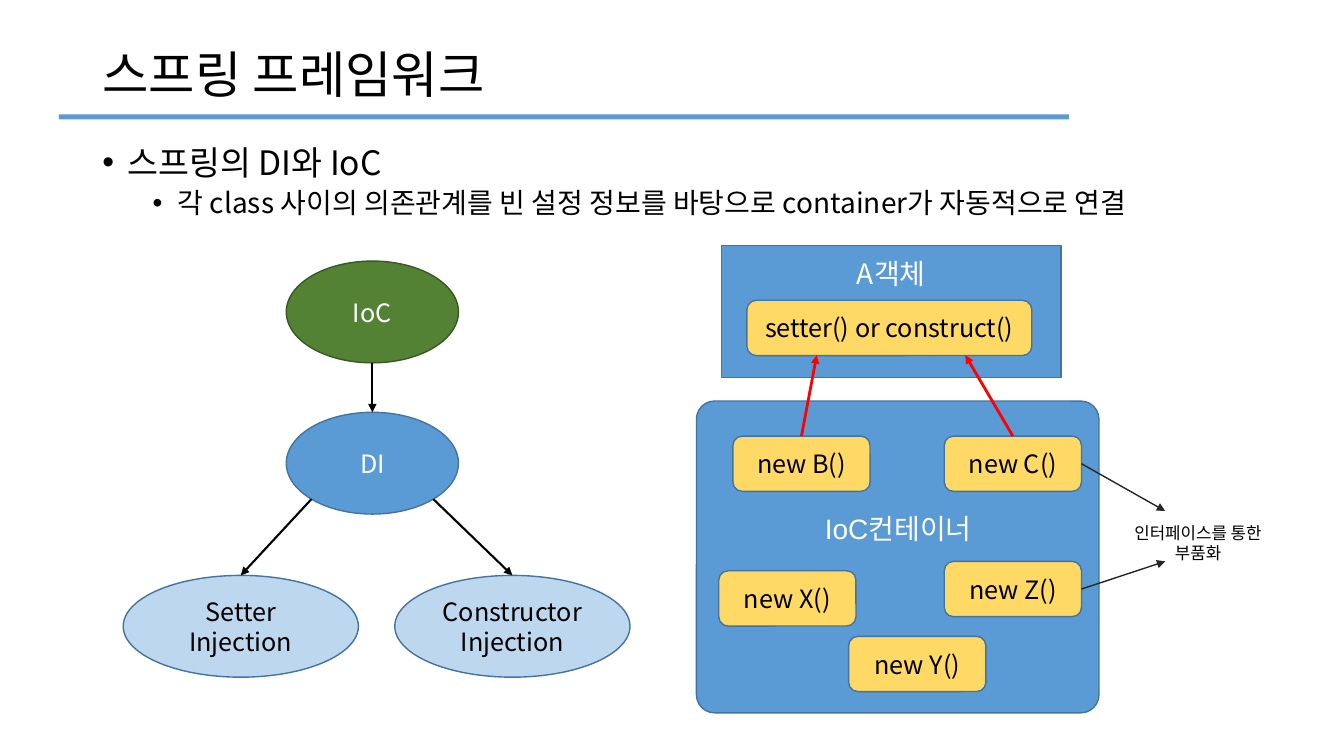
from lxml import etree
from pptx import Presentation
from pptx.dml.color import RGBColor
from pptx.enum.shapes import MSO_CONNECTOR, MSO_SHAPE
from pptx.enum.text import MSO_ANCHOR, MSO_AUTO_SIZE, PP_ALIGN
from pptx.oxml.ns import qn
from pptx.util import Pt

RECT, ROUND, OVAL = MSO_SHAPE.RECTANGLE, MSO_SHAPE.ROUNDED_RECTANGLE, MSO_SHAPE.OVAL
STRAIGHT = MSO_CONNECTOR.STRAIGHT
LEFT, CENTER = PP_ALIGN.LEFT, PP_ALIGN.CENTER
TOP, MIDDLE = MSO_ANCHOR.TOP, MSO_ANCHOR.MIDDLE
NO_FIT = MSO_AUTO_SIZE.NONE
SITE_TOP, SITE_RIGHT = 0, 3
FONT = "Noto Sans CJK KR"
COLORS = {
    "black": "000000", "white": "FFFFFF", "blue": "5B9BD5", "edge": "43739E",
    "green": "548235", "green edge": "385723", "pale": "BDD7EE",
    "yellow": "FFD966", "red": "FF0000", "gray": "262626",
}


class SlideBuilder:
    """Draws styled elements on one slide, with lengths in points."""

    def __init__(self, s):
        self.s = s

    def color(self, name):
        return RGBColor.from_string(COLORS[name])

    def format(self, p, size, color, align, font=FONT):
        p.alignment = align
        for r in p.runs:
            r.font.size = Pt(size)
            r.font.name = font
            r.font.color.rgb = self.color(color)
            ea = etree.SubElement(r.font._element, qn("a:ea"))
            ea.set("typeface", FONT)

    def title(self, text, x, y, w, h):
        sp = self.s.shapes.title
        sp.left, sp.top, sp.width, sp.height = Pt(x), Pt(y), Pt(w), Pt(h)
        tf = sp.text_frame
        tf.text = text
        tf.auto_size = NO_FIT
        tf.vertical_anchor = MIDDLE
        tf.paragraphs[0].line_spacing = 0.9
        self.format(tf.paragraphs[0], 36, "black", LEFT)

    def text(self, text, x, y, w, h, size, color="black", align=CENTER, font="Arial"):
        sp = self.s.shapes.add_textbox(Pt(x), Pt(y), Pt(w), Pt(h))
        tf = sp.text_frame
        tf.word_wrap = True
        tf.text = text
        for p in tf.paragraphs:
            self.format(p, size, color, align, font)
        return tf

    def bullets(self, items, x, y, w, h):
        tf = self.text("\n".join(items), x, y, w, h, 24, align=LEFT, font=FONT)
        for level, p in enumerate(tf.paragraphs):
            p.level = level
            p.line_spacing = 0.9
            p.space_before = Pt(5 if level else 10)
            p.runs[0].font.size = Pt(20 if level else 24)
            pPr = p._p.get_or_add_pPr()
            pPr.set("marL", str(Pt(18 + 36 * level)))
            pPr.set("indent", str(Pt(-18)))
            etree.SubElement(pPr, qn("a:buFont")).set("typeface", "Arial")
            etree.SubElement(pPr, qn("a:buChar")).set("char", "•")

    def shape(self, kind, x, y, w, h, fill, edge="edge", text="", color="black", size=18):
        sp = self.s.shapes.add_shape(kind, Pt(x), Pt(y), Pt(w), Pt(h))
        sp.shadow.inherit = False
        sp.fill.solid()
        sp.fill.fore_color.rgb = self.color(fill)
        if edge:
            sp.line.color.rgb = self.color(edge)
            sp.line.width = Pt(1)
        else:
            sp.line.fill.background()
        if text:
            tf = sp.text_frame
            tf.word_wrap = True
            tf.vertical_anchor = MIDDLE
            tf.text = text
            self.format(tf.paragraphs[0], size, color, CENTER)
        return sp

    def arrow(self, start, end, color, width, source=None, site=SITE_TOP, target=None):
        c = self.s.shapes.add_connector(STRAIGHT, *(Pt(v) for v in (*start, *end)))
        if source:
            c.begin_connect(source, site)
        if target:
            c.end_connect(target, SITE_TOP)
        c.line.color.rgb = self.color(color)
        c.line.width = Pt(width)
        etree.SubElement(c.line._get_or_add_ln(), qn("a:tailEnd")).set("type", "triangle")
        etree.SubElement(c._element.spPr, qn("a:effectLst"))


def draw_injection_tree(b):
    b.shape(OVAL, 204.5, 186.5, 123, 72.7, "green", "green edge", "IoC", "white")
    di = b.shape(OVAL, 204.5, 294.5, 123, 72.7, "blue", text="DI", color="white")
    setter, constructor = (
        b.shape(OVAL, x, 411, 168, 72.7, "pale", text=f"{name} Injection")
        for x, name in ((88, "Setter"), (282, "Constructor"))
    )
    for start, end, target in (
        ((266, 259.2), (266, 294.5), di),
        ((222.5, 356.5), (172, 411), setter),
        ((309.5, 356.5), (366, 411), constructor),
    ):
        b.arrow(start, end, "black", 1.5, target=target)


def draw_container(b):
    container = b.shape(ROUND, 497.5, 286.5, 287.5, 222.7, "blue")
    container.adjustments[0] = 0.058
    obj = b.shape(RECT, 515.5, 175.2, 242.3, 94.3, "blue", text="A객체", color="white", size=20)
    obj.text_frame.vertical_anchor = TOP
    obj.text_frame.margin_top = Pt(8)
    b.shape(ROUND, 533.5, 214.5, 203.5, 39.5, "yellow", text="setter() or construct()")
    beans = {
        name: b.shape(ROUND, x, y, 98, 39.5, "yellow", text=f"new {name}()")
        for name, x, y in (
            ("B", 523.5, 311.5), ("C", 674.5, 311.5), ("X", 513.4, 407.7),
            ("Y", 606.2, 454.5), ("Z", 674.5, 401),
        )
    }
    for name, start, end, color, width, site in (
        ("B", (572.5, 311.5), (583.4, 253.7), "red", 2, SITE_TOP),
        ("C", (723.5, 311.5), (689.5, 253.7), "red", 2, SITE_TOP),
        ("C", (772.5, 331.2), (832.3, 365), "gray", 1, SITE_RIGHT),
        ("Z", (772.5, 420.7), (832.3, 401), "gray", 1, SITE_RIGHT),
    ):
        b.arrow(start, end, color, width, beans[name], site)
    b.text("IoC컨테이너", 526.5, 361.5, 230.4, 31.5, 20, "white")
    b.text("인터페이스를 통한 부품화", 787, 370, 137.5, 36, 12)


def main():
    prs = Presentation()
    prs.slide_width, prs.slide_height = Pt(960), Pt(540)
    b = SlideBuilder(prs.slides.add_slide(prs.slide_layouts[5]))
    b.shape(RECT, 42, 81.7, 721.5, 3.6, "blue", None)
    b.title("스프링 프레임워크", 66, 28.8, 828, 52.5)
    b.bullets(
        ["스프링의 DI와 IoC",
         "각 class 사이의 의존관계를 빈 설정 정보를 바탕으로 container가 자동적으로 연결"],
        66, 100.8, 828, 408,
    )
    draw_injection_tree(b)
    draw_container(b)
    prs.save("out.pptx")


if __name__ == "__main__":
    main()
